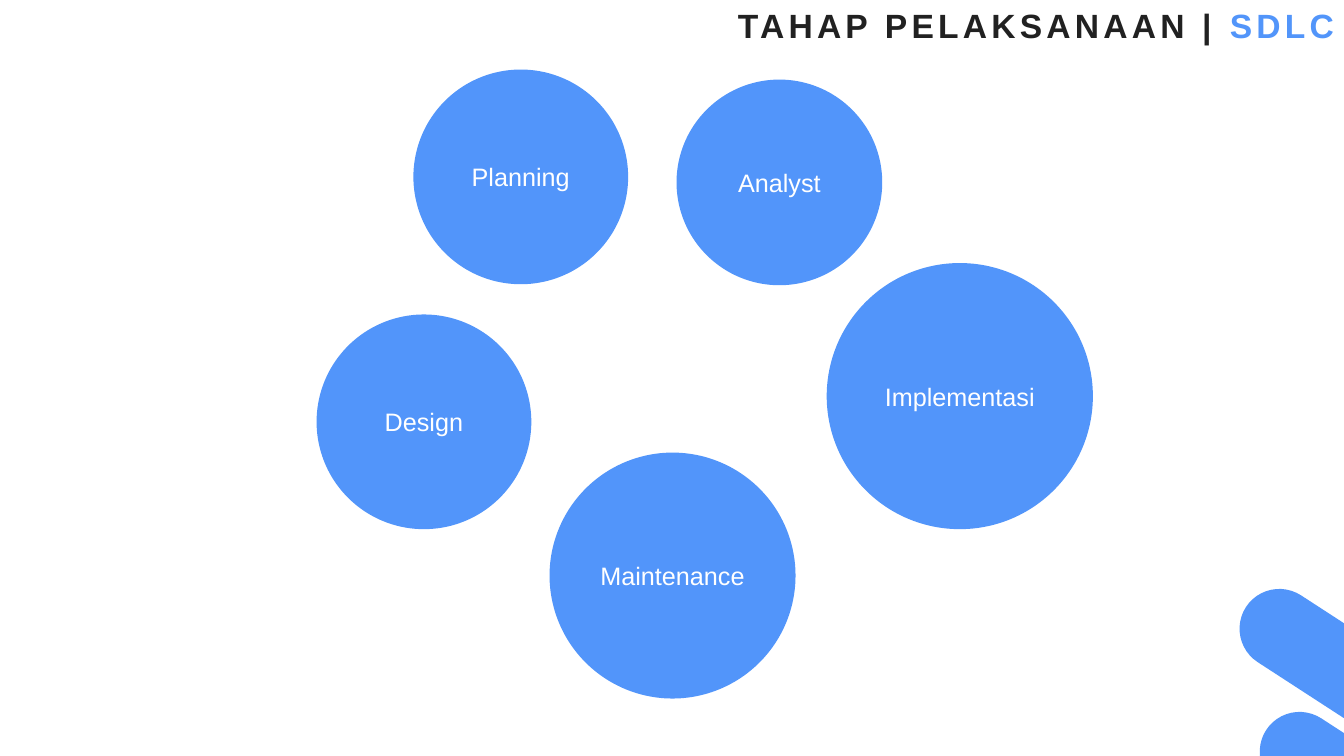
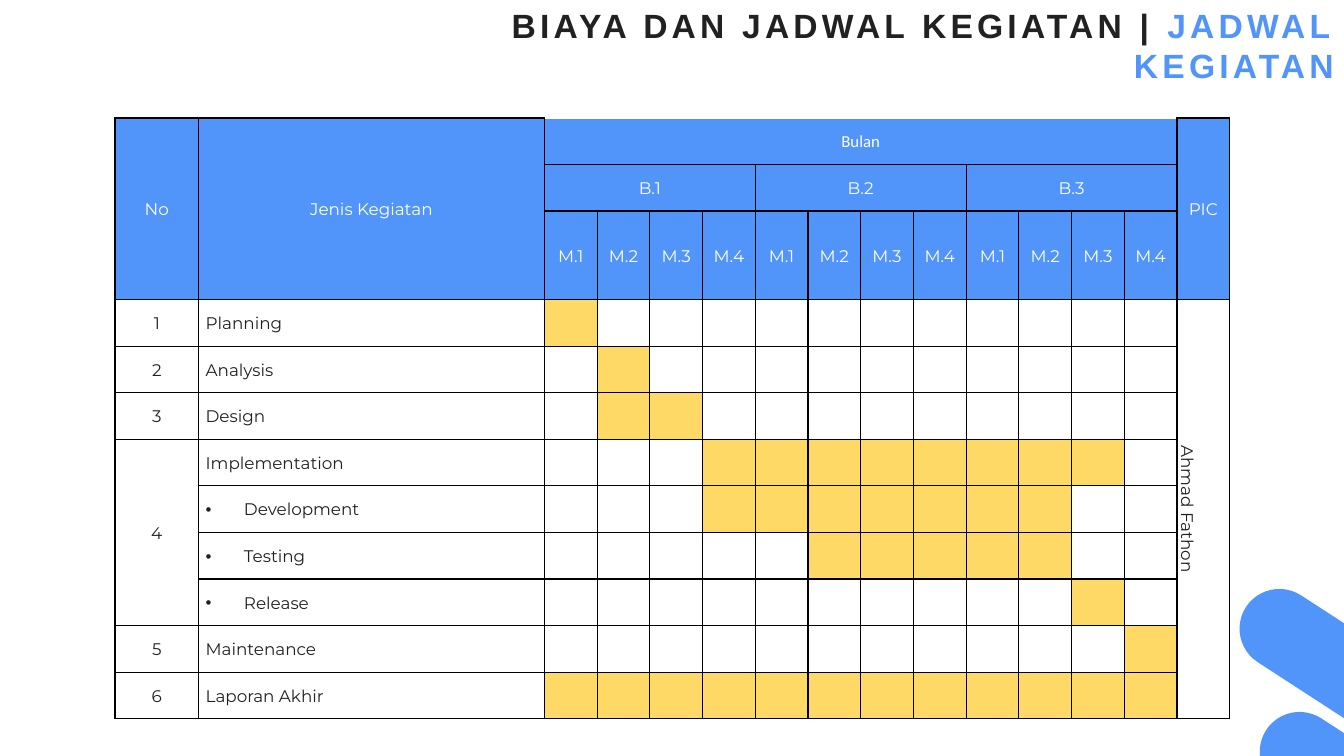
from lxml import etree
from pptx import Presentation
from pptx import util as u
from pptx.dml.color import RGBColor
from pptx.enum import shapes, text
from pptx.oxml.ns import qn


class Theme:
    blue = RGBColor.from_string("5295FA")
    yellow = RGBColor.from_string("FFD966")
    dark = RGBColor.from_string("212121")
    white = RGBColor.from_string("FFFFFF")
    black = RGBColor.from_string("000000")
    font, table_font, month_font = "Arial", "Montserrat", "Calibri"
    title_size, bubble_size, table_size = 24, 18, 12


presentation = Presentation()
presentation.slide_width, presentation.slide_height = u.Inches(13.33), u.Inches(7.5)
UNIT = presentation.slide_height / 100  # square grid, 100 rows to the slide


def units(*lengths):
    """Turn grid units into whole EMU."""
    return [u.Emu(round(length * UNIT)) for length in lengths]


def write_text(frame, *runs, size, font=Theme.font, align=text.PP_ALIGN.CENTER,
               anchor=text.MSO_ANCHOR.MIDDLE, bold=False, tracking=0):
    """Write (text, colour) runs as one paragraph and return it."""
    frame.word_wrap = True
    frame.vertical_anchor = anchor
    paragraph = frame.paragraphs[0]
    paragraph.alignment = align
    for words, color in runs:
        run = paragraph.add_run()
        run.text = words
        run.font.name, run.font.size, run.font.bold = font, u.Pt(size), bold
        run.font.color.rgb = color
        if tracking:
            run._r.get_or_add_rPr().set("spc", str(tracking * 100))
    return paragraph


# Slides with their shared title and corner capsules
TITLES = [("TAHAP PELAKSANAAN | ", "SDLC"),
          ("BIAYA DAN JADWAL KEGIATAN | ", "JADWAL KEGIATAN")]
CAPSULES = [(177.73, 70.4), (180.4, 86.67)]
slides = []
for section, topic in TITLES:
    slide = presentation.slides.add_slide(presentation.slide_layouts[5])
    slides.append(slide)
    title = slide.shapes.title
    title.left, title.top, title.width, title.height = units(42.53, 0, 135.2, 6.67)
    write_text(title.text_frame, (section, Theme.dark), (topic, Theme.blue),
               size=Theme.title_size, align=text.PP_ALIGN.RIGHT,
               anchor=text.MSO_ANCHOR.TOP, bold=True, tracking=3)
    title.text_frame.auto_size = text.MSO_AUTO_SIZE.SHAPE_TO_FIT_TEXT
    for left, top in CAPSULES:
        capsule = slide.shapes.add_shape(shapes.MSO_SHAPE.ROUNDED_RECTANGLE,
                                         *units(left, top, 10.53, 43.47))
        capsule.adjustments[0] = 0.5
        capsule.rotation = 123
        capsule.shadow.inherit = False
        capsule.fill.solid()
        capsule.fill.fore_color.rgb = Theme.blue
        capsule.line.fill.background()
process_slide, schedule_slide = slides

# Process stages: name, left, top, diameter
STAGES = [("Planning", 54.67, 9.2, 28.4), ("Analyst", 89.47, 10.53, 27.2),
          ("Design", 41.87, 41.6, 28.4), ("Implementasi", 109.33, 34.8, 35.2),
          ("Maintenance", 72.67, 59.87, 32.53)]
for name, left, top, diameter in STAGES:
    bubble = process_slide.shapes.add_shape(shapes.MSO_SHAPE.OVAL,
                                            *units(left, top, diameter, diameter))
    bubble.shadow.inherit = False
    bubble.fill.solid()
    bubble.fill.fore_color.rgb = Theme.blue
    bubble.line.fill.background()
    write_text(bubble.text_frame, (name, Theme.white), size=Theme.bubble_size)

# Schedule: number, task, first and last week, whether it is a sub-task
TASKS = [("1", "Planning", 1, 1, False), ("2", "Analysis", 2, 2, False),
         ("3", "Design", 2, 3, False), ("4", "Implementation", 4, 11, False),
         ("", "Development", 4, 10, True), ("", "Testing", 6, 10, True),
         ("", "Release", 11, 11, True), ("5", "Maintenance", 12, 12, False),
         ("6", "Laporan Akhir", 1, 12, False)]
MONTHS, WEEKS = 3, 4
HEADERS, FIRST_WEEK = 3, 2
PIC = FIRST_WEEK + MONTHS * WEEKS
ROWS, COLUMNS = HEADERS + len(TASKS), PIC + 1
WIDTH, HEIGHT = 147.47, 79.47
NUMBER_WIDTH, TASK_WIDTH, WEEK_HEADER_HEIGHT = 11.07, 45.73, 11.73

table = schedule_slide.shapes.add_table(
    ROWS, COLUMNS, *units(15.2, 15.6, WIDTH, HEIGHT)).table
table.first_row = table.horz_banding = False
week_width = (WIDTH - NUMBER_WIDTH - TASK_WIDTH) / (COLUMNS - FIRST_WEEK)
widths = [NUMBER_WIDTH, TASK_WIDTH] + [week_width] * (COLUMNS - FIRST_WEEK)
heights = [(HEIGHT - WEEK_HEADER_HEIGHT) / (ROWS - 1)] * ROWS
heights[HEADERS - 1] = WEEK_HEADER_HEIGHT
for column, width in zip(table.columns, units(*widths)):
    column.width = width
for row, height in zip(table.rows, units(*heights)):
    row.height = height

labels = {(0, 0): "No", (0, 1): "Jenis Kegiatan", (0, FIRST_WEEK): "Bulan",
          (0, PIC): "PIC", (HEADERS, PIC): "Ahmad Fathon"}
merges = [(0, 0, 2, 0), (0, 1, 2, 1), (0, FIRST_WEEK, 0, PIC - 1), (0, PIC, 2, PIC),
          (HEADERS, PIC, ROWS - 1, PIC), (6, 0, 9, 0)]
for month in range(MONTHS):
    start = FIRST_WEEK + month * WEEKS
    labels[1, start] = f"B.{month + 1}"
    merges.append((1, start, 1, start + WEEKS - 1))
    for week in range(WEEKS):
        labels[2, start + week] = f"M.{week + 1}"
busy, bulleted = set(), set()
for row, (number, task, first, last, is_subtask) in enumerate(TASKS, HEADERS):
    labels[row, 0], labels[row, 1] = number, task
    busy.update((row, FIRST_WEEK + week - 1) for week in range(first, last + 1))
    if is_subtask:
        bulleted.add((row, 1))

for row in range(ROWS):
    for column in range(COLUMNS):
        cell = table.cell(row, column)
        is_header = row < HEADERS
        cell.margin_left = cell.margin_right = u.Inches(0.07)
        cell.margin_top = cell.margin_bottom = 0
        properties = cell._tc.get_or_add_tcPr()
        for side in ("lnL", "lnR", "lnT", "lnB"):
            open_top = side == "lnT" and row == 0 and FIRST_WEEK <= column < PIC
            border = etree.SubElement(properties, qn(f"a:{side}"), w=str(u.Pt(1)))
            fill = etree.SubElement(border, qn("a:solidFill"))
            etree.SubElement(fill, qn("a:srgbClr"),
                             val=str(Theme.white if open_top else Theme.black))
        cell.fill.solid()
        cell.fill.fore_color.rgb = (Theme.blue if is_header else
                                    Theme.yellow if (row, column) in busy else Theme.white)
        label = labels.get((row, column))
        if not label:
            continue
        is_task = column == 1 and not is_header
        paragraph = write_text(
            cell.text_frame, (label, Theme.white if is_header else Theme.dark),
            size=Theme.table_size,
            font=Theme.month_font if label == "Bulan" else Theme.table_font,
            align=text.PP_ALIGN.LEFT if is_task else text.PP_ALIGN.CENTER)
        cell.vertical_anchor = text.MSO_ANCHOR.MIDDLE
        paragraph.line_spacing, paragraph.space_after = 1.07, u.Pt(8)
        if (row, column) in bulleted:
            indent = u.Inches(0.38)
            format_ = paragraph._p.get_or_add_pPr()
            format_.set("marL", str(indent))
            format_.set("indent", str(-indent))
            etree.SubElement(format_, qn("a:buFont"), typeface=Theme.font)
            etree.SubElement(format_, qn("a:buChar"), char="•")
for top, left, bottom, right in merges:
    table.cell(top, left).merge(table.cell(bottom, right))
table.cell(HEADERS, PIC)._tc.get_or_add_tcPr().set("vert", "vert")

presentation.save("out.pptx")
